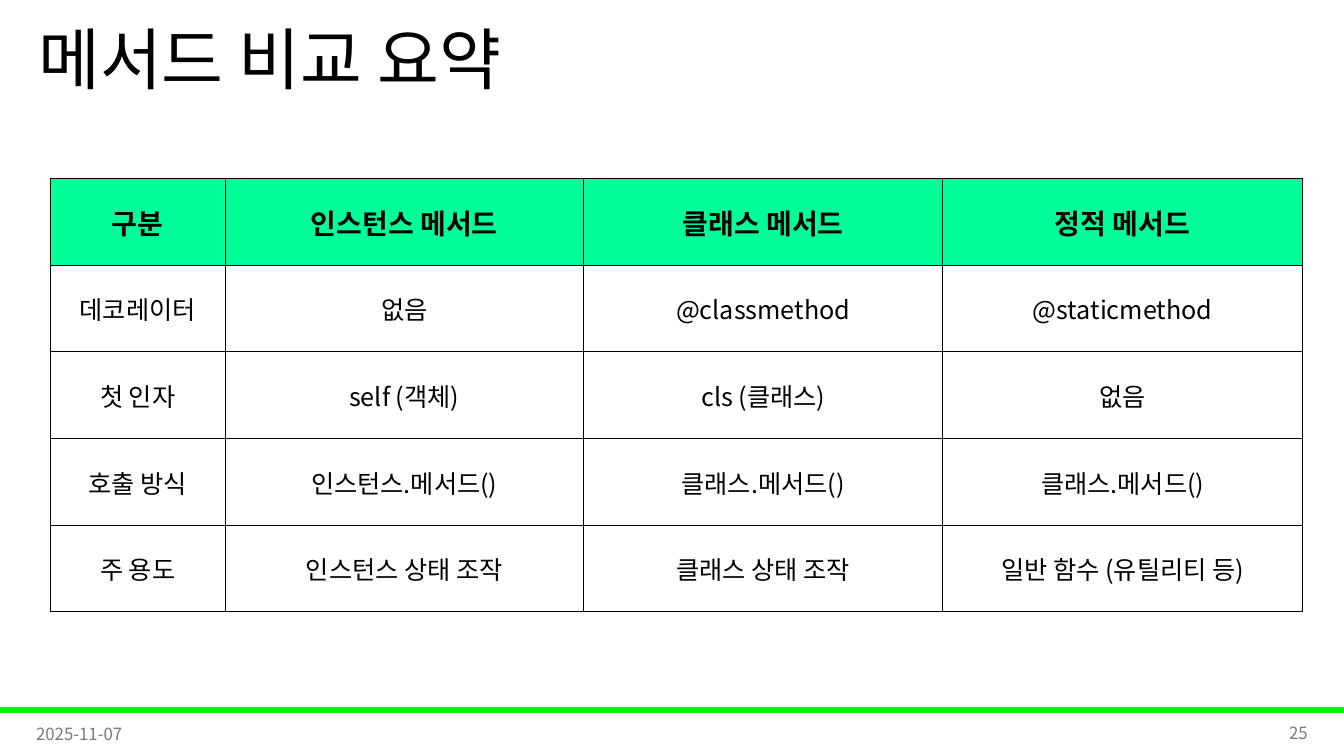
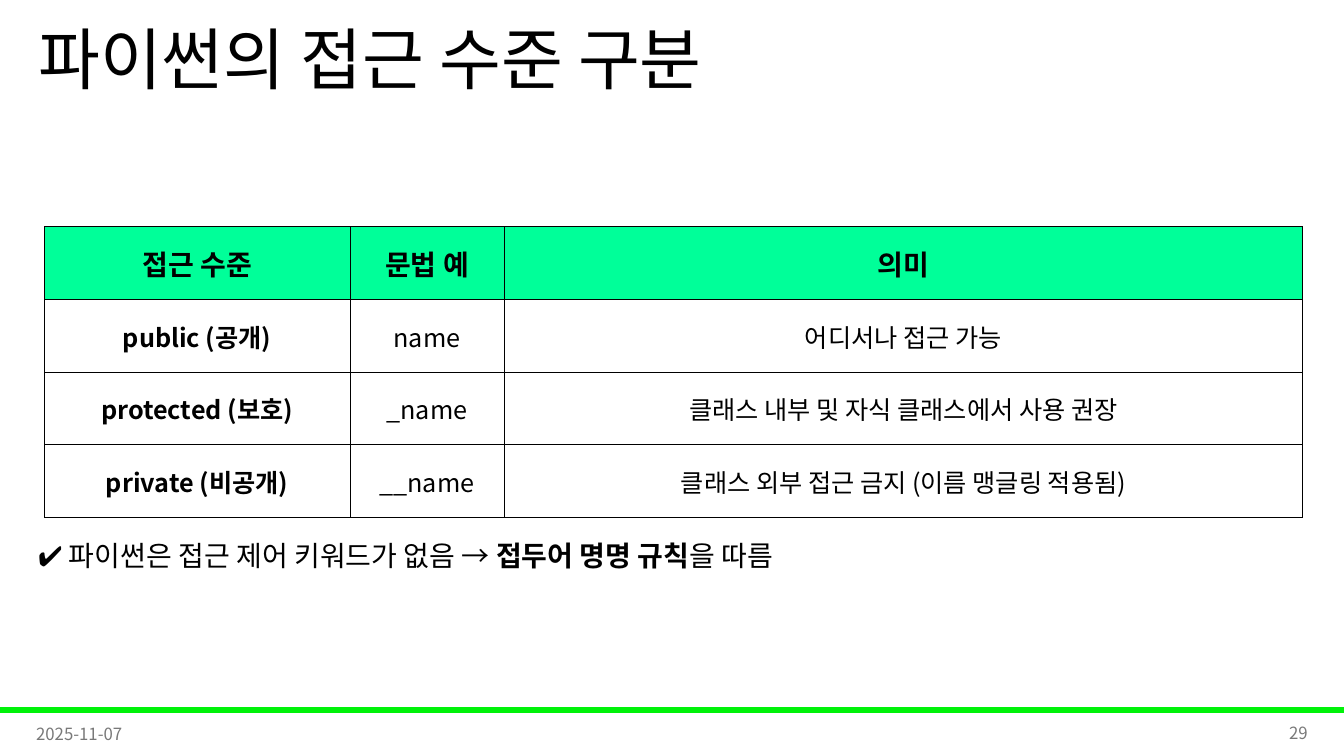
from pptx import Presentation
from pptx.dml.color import RGBColor
from pptx.enum.shapes import MSO_SHAPE as Shape
from pptx.enum.text import MSO_ANCHOR as Anchor, MSO_AUTO_SIZE as AutoSize, PP_ALIGN as Align
from pptx.oxml import parse_xml
from pptx.oxml.ns import nsdecls
from pptx.util import Inches, Pt

COLORS = {
    "text": "000000",
    "footer": "797979",
    "band": "00F209",
    "header": "00FF99",
    "border": "000000",
}
FONT = "Noto Sans CJK KR"
DATE = "2025-11-07"
CELL_FORMAT = {
    "margin_left": Inches(0.01),
    "margin_right": Inches(0.01),
    "margin_top": Inches(0.01),
    "margin_bottom": 0,
    "vertical_anchor": Anchor.MIDDLE,
}


def apply(target, **values):
    for name, value in values.items():
        setattr(target, name, value)


def rgb(color):
    return RGBColor.from_string(COLORS[color])


class Deck:
    def __init__(self):
        self.presentation = Presentation()
        apply(self.presentation, slide_width=Inches(13.33), slide_height=Inches(7.5))
        self.slide = None

    def add_runs(self, frame, runs, size, color="text", align=Align.LEFT, spacing=1.0):
        paragraph = frame.paragraphs[0]
        apply(paragraph, alignment=align, line_spacing=spacing)
        for text, bold in runs:
            run = paragraph.add_run()
            run.text = text
            apply(run.font, size=Pt(size), bold=bold, name=FONT)
            run.font.color.rgb = rgb(color)
            run._r.get_or_add_rPr().append(
                parse_xml(f'<a:ea {nsdecls("a")} typeface="{FONT}"/>'))

    def start_slide(self, title, number):
        self.slide = self.presentation.slides.add_slide(self.presentation.slide_layouts[5])
        self.band()
        self.title(title)
        self.text(0.26, 7.08, 3, 0.4, [(DATE, False)], 12, "footer")
        self.text(10.07, 7.07, 3, 0.4, [(str(number), False)], 12, "footer", Align.RIGHT)

    def title(self, text):
        heading = self.slide.shapes.title
        apply(heading, left=Inches(0.28), top=0, width=Inches(11.5), height=Inches(1.25))
        apply(heading.text_frame, word_wrap=True, auto_size=AutoSize.NONE,
              vertical_anchor=Anchor.MIDDLE)
        self.add_runs(heading.text_frame, [(text, False)], 48, spacing=0.9)

    def band(self):
        band = self.slide.shapes.add_shape(
            Shape.RECTANGLE, 0, Inches(7.02), Inches(13.33), Inches(0.05))
        band.shadow.inherit = False
        band.fill.solid()
        band.fill.fore_color.rgb = rgb("band")
        band.line.color.rgb = rgb("band")
        band.line.width = Pt(1)

    def text(self, left, top, width, height, runs, size, color="text",
             align=Align.LEFT, spacing=1.0, anchor=Anchor.MIDDLE, fit=AutoSize.NONE):
        box = self.slide.shapes.add_textbox(
            Inches(left), Inches(top), Inches(width), Inches(height))
        apply(box.text_frame, word_wrap=True, auto_size=fit, vertical_anchor=anchor)
        self.add_runs(box.text_frame, runs, size, color, align, spacing)

    def border(self, cell):
        properties = cell._tc.get_or_add_tcPr()
        for side in ("lnL", "lnR", "lnT", "lnB"):
            properties.append(parse_xml(
                f'<a:{side} {nsdecls("a")} w="{Pt(0.5)}"><a:solidFill>'
                f'<a:srgbClr val="{COLORS["border"]}"/></a:solidFill></a:{side}>'))

    def table(self, left, top, widths, row_height, rows, bold_labels=False):
        table = self.slide.shapes.add_table(
            len(rows), len(widths), Inches(left), Inches(top),
            Inches(sum(widths)), Inches(row_height * len(rows))).table
        apply(table, first_row=False, horz_banding=False)
        for column, width in zip(table.columns, widths):
            column.width = Inches(width)
        for row_index, texts in enumerate(rows):
            table.rows[row_index].height = Inches(row_height)
            is_header = row_index == 0
            for column_index, text in enumerate(texts):
                cell = table.cell(row_index, column_index)
                apply(cell, **CELL_FORMAT)
                self.border(cell)
                if is_header:
                    cell.fill.solid()
                    cell.fill.fore_color.rgb = rgb("header")
                else:
                    cell.fill.background()
                bold = is_header or (bold_labels and column_index == 0)
                self.add_runs(cell.text_frame, [(text, bold)], 20 if is_header else 18,
                              align=Align.CENTER)


def main():
    deck = Deck()

    deck.start_slide("메서드 비교 요약", 25)
    deck.table(0.5, 1.77, [1.73, 3.56, 3.56, 3.57], 0.86, [
        ["구분", "인스턴스 메서드", "클래스 메서드", "정적 메서드"],
        ["데코레이터", "없음", "@classmethod", "@staticmethod"],
        ["첫 인자", "self (객체)", "cls (클래스)", "없음"],
        ["호출 방식", "인스턴스.메서드()", "클래스.메서드()", "클래스.메서드()"],
        ["주 용도", "인스턴스 상태 조작", "클래스 상태 조작", "일반 함수 (유틸리티 등)"],
    ])

    deck.start_slide("파이썬의 접근 수준 구분", 29)
    deck.table(0.44, 2.25, [3.03, 1.53, 7.92], 0.72, [
        ["접근 수준", "문법 예", "의미"],
        ["public (공개)", "name", "어디서나 접근 가능"],
        ["protected (보호)", "_name", "클래스 내부 및 자식 클래스에서 사용 권장"],
        ["private (비공개)", "__name", "클래스 외부 접근 금지 (이름 맹글링 적용됨)"],
    ], bold_labels=True)
    deck.text(0.28, 5.13, 9.68, 0.55, [
        ("✔️ 파이썬은 접근 제어 키워드가 없음 → ", False),
        ("접두어 명명 규칙", True),
        ("을 따름", False),
    ], 20, spacing=1.5, anchor=Anchor.TOP, fit=AutoSize.SHAPE_TO_FIT_TEXT)

    deck.presentation.save("out.pptx")


if __name__ == "__main__":
    main()
